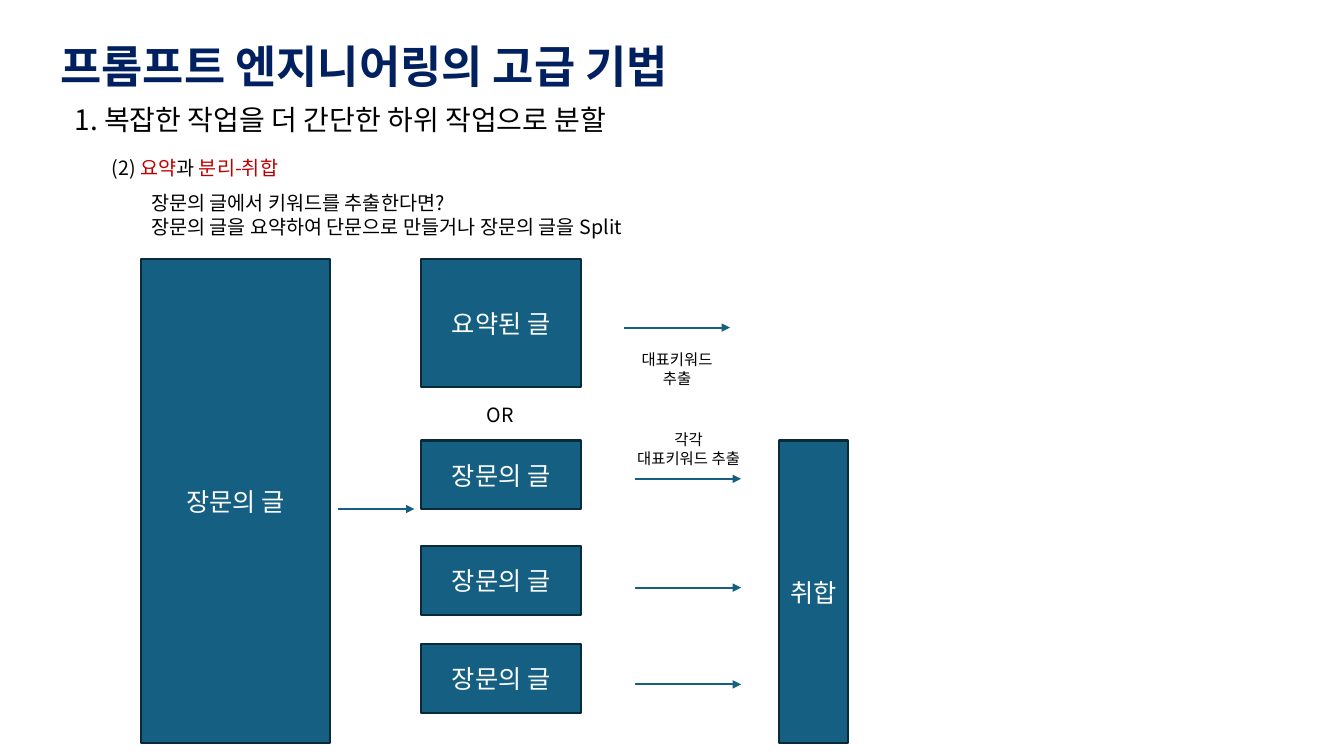
from dataclasses import dataclass

from lxml.etree import SubElement
from pptx import Presentation
from pptx.dml.color import RGBColor
from pptx.enum.shapes import MSO_CONNECTOR, MSO_SHAPE
from pptx.enum.text import MSO_ANCHOR, PP_ALIGN
from pptx.oxml.ns import qn
from pptx.util import Inches, Pt

FONT = "Noto Sans CJK KR"
LINE_HEIGHT = 1.22
COLORS = {
    "fill": "156082",
    "edge": "092A39",
    "title": "002060",
    "accent": "C00000",
    "text": "000000",
    "white": "FFFFFF",
}


@dataclass
class Box:
    text: str
    left: float
    top: float
    width: float
    height: float


@dataclass
class Arrow:
    start: float
    end: float
    y: float


@dataclass
class Label:
    lines: list
    left: float
    top: float
    width: float
    height: float
    size: float = 14
    color: str = "text"
    bold: bool = False
    align: PP_ALIGN = PP_ALIGN.LEFT
    anchor: MSO_ANCHOR = MSO_ANCHOR.TOP


def rgb(name: str) -> RGBColor:
    return RGBColor.from_string(COLORS[name])


def add_run(p, text: str, *, size: float = 14, color: str = "text", bold: bool = False) -> None:
    r = p.add_run()
    r.text = text
    r.font.size = Pt(size)
    r.font.bold = bold
    r.font.name = FONT
    r.font.color.rgb = rgb(color)
    SubElement(r.font._element, qn("a:ea"), typeface=FONT)


def write(tf, lines: list, *, size: float, color: str, bold: bool = False,
          align: PP_ALIGN = PP_ALIGN.CENTER, anchor: MSO_ANCHOR = MSO_ANCHOR.MIDDLE) -> None:
    """Each line is a string or a list of (text, color) pairs."""
    tf.word_wrap = True
    tf.vertical_anchor = anchor
    for i, line in enumerate(lines):
        p = tf.add_paragraph() if i else tf.paragraphs[0]
        p.alignment = align
        p.line_spacing = Pt(size * LINE_HEIGHT)
        for text, c in [(line, color)] if isinstance(line, str) else line:
            add_run(p, text, size=size, color=c, bold=bold)


def draw_box(s, box: Box) -> None:
    sp = s.shapes.add_shape(MSO_SHAPE.RECTANGLE, Inches(box.left), Inches(box.top),
                            Inches(box.width), Inches(box.height))
    sp.shadow.inherit = False
    sp.fill.solid()
    sp.fill.fore_color.rgb = rgb("fill")
    sp.line.color.rgb = rgb("edge")
    sp.line.width = Pt(1.5)
    write(sp.text_frame, [box.text], size=18, color="white")


def draw_arrow(s, arrow: Arrow) -> None:
    cx = s.shapes.add_connector(MSO_CONNECTOR.STRAIGHT, Inches(arrow.start), Inches(arrow.y),
                                Inches(arrow.end), Inches(arrow.y))
    cx.line.color.rgb = rgb("fill")
    cx.line.width = Pt(1.5)
    SubElement(cx.line._get_or_add_ln(), qn("a:tailEnd"), type="triangle")
    SubElement(cx._element.spPr, qn("a:effectLst"))


def draw_label(s, label: Label) -> None:
    sp = s.shapes.add_textbox(Inches(label.left), Inches(label.top),
                              Inches(label.width), Inches(label.height))
    write(sp.text_frame, label.lines, size=label.size, color=label.color,
          bold=label.bold, align=label.align, anchor=label.anchor)


CENTER = PP_ALIGN.CENTER
LABELS = [
    # Headings
    Label(["프롬프트 엔지니어링의 고급 기법"], 0.5, 0.34, 11.92, 0.61, size=32,
          color="title", bold=True, anchor=MSO_ANCHOR.MIDDLE),
    Label(["1. 복잡한 작업을 더 간단한 하위 작업으로 분할"], 0.64, 0.96, 8.22, 0.44, size=20),
    Label([[("(2) ", "text"), ("요약", "accent"), ("과 ", "text"), ("분리-취합", "accent")]],
          1.01, 1.49, 9.66, 0.34),
    Label(["장문의 글에서 키워드를 추출한다면?",
           "장문의 글을 요약하여 단문으로 만들거나 장문의 글을 Split"], 1.4, 1.84, 6.96, 0.57),
    # Diagram captions
    Label(["대표키워드", "추출"], 6.07, 3.42, 1.29, 0.47, size=11, align=CENTER),
    Label(["OR"], 4.68, 3.94, 0.56, 0.34, align=CENTER),
    Label(["각각", "대표키워드 추출"], 6.04, 4.22, 1.58, 0.47, size=11, align=CENTER),
]
BOXES = [
    Box("장문의 글", 1.4, 2.57, 1.87, 4.8),
    Box("요약된 글", 4.18, 2.57, 1.58, 1.27),
    *(Box("장문의 글", 4.18, top, 1.58, 0.68) for top in (4.37, 5.42, 6.39)),
    Box("취합", 7.73, 4.37, 0.68, 3),
]
ARROWS = [
    Arrow(3.35, 4.11, 5.05),
    Arrow(6.19, 7.24, 3.25),
    *(Arrow(6.3, 7.35, y) for y in (4.75, 5.83, 6.79)),
]


def main() -> None:
    prs = Presentation()
    prs.slide_width, prs.slide_height = Inches(13.33), Inches(7.5)
    s = prs.slides.add_slide(prs.slide_layouts[6])
    for box in BOXES:
        draw_box(s, box)
    for arrow in ARROWS:
        draw_arrow(s, arrow)
    for label in LABELS:
        draw_label(s, label)
    prs.save("out.pptx")


if __name__ == "__main__":
    main()
